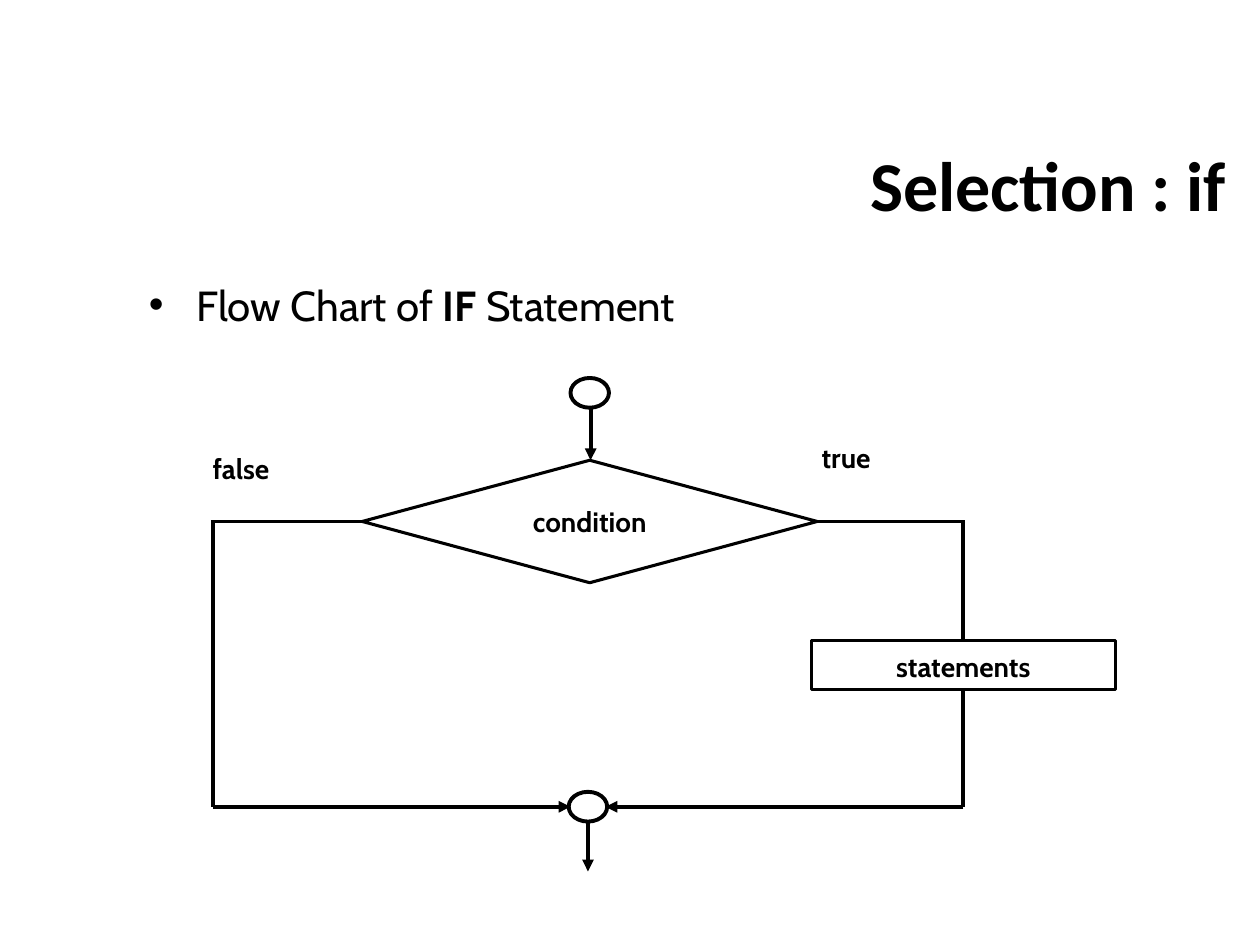
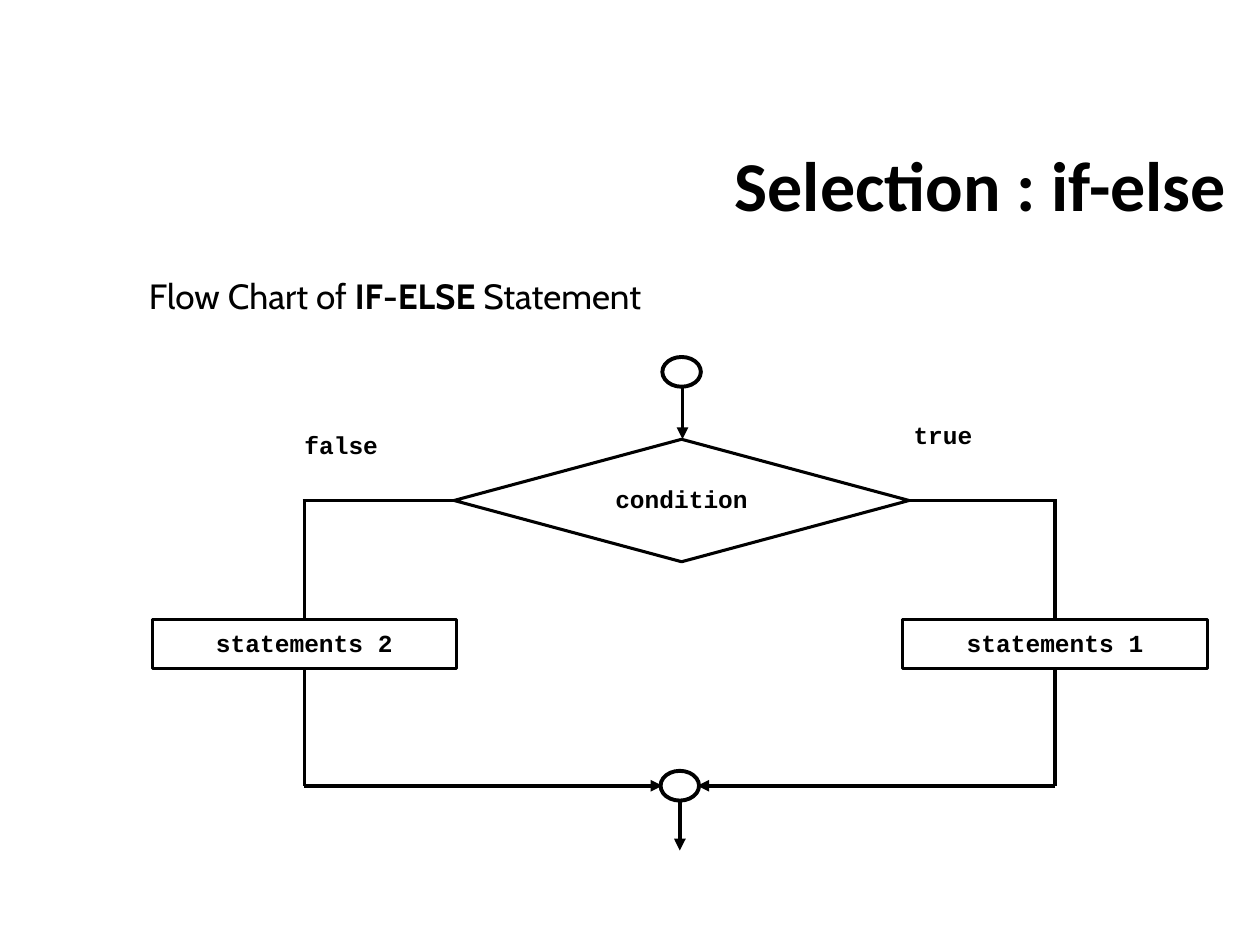
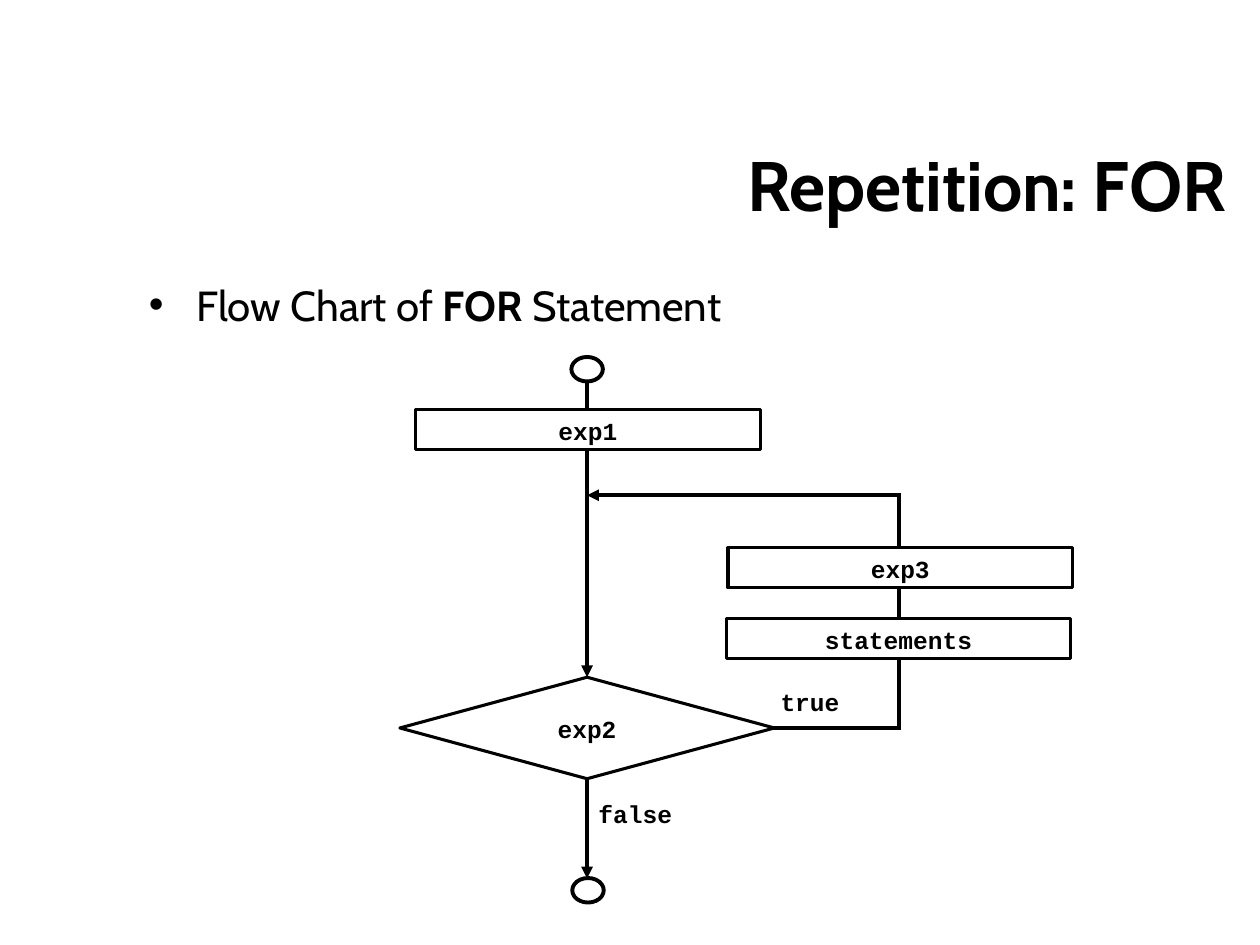
from dataclasses import dataclass

from lxml.etree import SubElement
from pptx import Presentation
from pptx.dml.color import RGBColor
from pptx.enum.shapes import MSO_CONNECTOR, MSO_SHAPE as SHAPE
from pptx.enum.text import MSO_ANCHOR as ANCHOR, MSO_AUTO_SIZE, PP_ALIGN as ALIGN
from pptx.oxml.ns import qn
from pptx.slide import Slide
from pptx.text.text import TextFrame
from pptx.util import Pt

BLACK = "000000"
WHITE = "FFFFFF"
CABIN = "Cabin"
CALIBRI = "Calibri"
COURIER = "Courier New"
FLOW_WIDTH = 2.25
NODE_WIDTH = 1.75


@dataclass
class Node:
    """Flow chart shape placed by its centre."""

    kind: SHAPE
    x: float
    y: float
    w: float
    h: float
    text: str = ""
    inset: float = 0


@dataclass
class Flow:
    """Straight line between two points, pointing at the second if it is an arrow."""

    x1: float
    y1: float
    x2: float
    y2: float
    arrow: bool = False


@dataclass
class Label:
    """Free text placed by its top left corner."""

    text: str
    x: float
    y: float
    w: float
    h: float


@dataclass
class Heading:
    """Title and first line of a slide, with the keyword of the line in bold."""

    title: str
    title_font: str
    keyword: str
    size: float
    bullet: bool = True
    spacing: float = 1.0


@dataclass
class Chart:
    """All parts of one flow chart with its font and origin."""

    flows: list[Flow]
    nodes: list[Node]
    labels: list[Label]
    font: str
    size: float
    x: float = 0
    y: float = 0


def rgb(color: str) -> RGBColor:
    """Turn a hex string into a colour."""
    return RGBColor.from_string(color)


def write(tf: TextFrame, text: str, *, font: str, size: float, bold: bool = False,
          align: ALIGN = ALIGN.LEFT, color: str = BLACK) -> None:
    """Append a formatted run to the first paragraph."""
    p = tf.paragraphs[0]
    p.alignment = align
    r = p.add_run()
    r.text = text
    r.font.name = font
    r.font.size = Pt(size)
    r.font.bold = bold
    r.font.color.rgb = rgb(color)


def set_margins(tf: TextFrame, top: float = 0) -> None:
    """Wrap text from the top with no margin but the given one."""
    tf.word_wrap = True
    tf.vertical_anchor = ANCHOR.TOP
    tf.margin_left = tf.margin_right = tf.margin_bottom = Pt(0)
    tf.margin_top = Pt(top)


def add_heading(s: Slide, heading: Heading) -> None:
    """Fill the title and add the introductory line."""
    title = s.shapes.title
    title.left, title.top, title.width, title.height = Pt(264), Pt(60), Pt(444), Pt(90)
    tf = title.text_frame
    tf.auto_size = MSO_AUTO_SIZE.NONE
    tf.vertical_anchor = ANCHOR.MIDDLE
    write(tf, heading.title, font=heading.title_font, size=40, bold=True, align=ALIGN.RIGHT)

    tf = s.shapes.add_textbox(Pt(78), Pt(156), Pt(630), Pt(336)).text_frame
    tf.word_wrap = True
    for text, bold in (("Flow Chart of ", False), (heading.keyword, True), (" Statement", False)):
        write(tf, text, font=CABIN, size=heading.size, bold=bold)
    p = tf.paragraphs[0]
    p.line_spacing = heading.spacing
    p.space_before = Pt(0.2 * heading.size)
    pPr = p._p.get_or_add_pPr()
    pPr.set("marL", str(Pt(27)))
    pPr.set("indent", str(Pt(-27)))
    if heading.bullet:
        SubElement(pPr, qn("a:buFont"), typeface="Arial")
        SubElement(pPr, qn("a:buChar"), char="•")
    else:
        SubElement(pPr, qn("a:buNone"))


def add_flow(s: Slide, flow: Flow, dx: float, dy: float) -> None:
    """Draw a flow line."""
    line = s.shapes.add_connector(MSO_CONNECTOR.STRAIGHT, Pt(flow.x1 + dx), Pt(flow.y1 + dy),
                                  Pt(flow.x2 + dx), Pt(flow.y2 + dy))
    line.line.color.rgb = rgb(BLACK)
    line.line.width = Pt(FLOW_WIDTH)
    if flow.arrow:
        SubElement(line.line._get_or_add_ln(), qn("a:tailEnd"), type="triangle")
    SubElement(line._element.spPr, qn("a:effectLst"))


def add_node(s: Slide, node: Node, chart: Chart) -> None:
    """Draw a node: terminals are open, the others white with text."""
    sp = s.shapes.add_shape(node.kind, Pt(chart.x + node.x - node.w / 2),
                            Pt(chart.y + node.y - node.h / 2), Pt(node.w), Pt(node.h))
    sp.shadow.inherit = False
    sp.line.color.rgb = rgb(BLACK)
    if not node.text:
        sp.fill.background()
        sp.line.width = Pt(FLOW_WIDTH)
        return
    sp.fill.solid()
    sp.fill.fore_color.rgb = rgb(WHITE)
    sp.line.width = Pt(NODE_WIDTH)
    set_margins(sp.text_frame, node.inset)
    write(sp.text_frame, node.text, font=chart.font, size=chart.size, bold=True,
          align=ALIGN.CENTER)


def add_chart_parts(s: Slide, chart: Chart) -> None:
    """Draw lines, then nodes, then labels."""
    for flow in chart.flows:
        add_flow(s, flow, chart.x, chart.y)
    for node in chart.nodes:
        add_node(s, node, chart)
    for label in chart.labels:
        tf = s.shapes.add_textbox(Pt(label.x + chart.x), Pt(label.y + chart.y),
                                  Pt(label.w), Pt(label.h)).text_frame
        set_margins(tf)
        write(tf, label.text, font=chart.font, size=chart.size, bold=True)


def terminal(x: float, y: float, w: float, h: float) -> Node:
    """Return a start, join or end circle."""
    return Node(SHAPE.OVAL, x, y, w, h)


def branch_chart(x: float, y: float, font: str, size: float, true_text: str,
                 false_text: str = "") -> Chart:
    """Return a two-way branch around the centre of its condition."""
    left, right, join = -215.5, 213.5, 163
    flows = [
        Flow(0.5, -65, 0.5, -35, True),
        Flow(-1, 171, -1, 200, True),
        Flow(right + 1, 0, 129, 0),
        Flow(left - 1, 0, -130, 0),
        Flow(right, join, 9, join, True),
        Flow(left, join, -11, join, True),
    ]
    flows += [Flow(side, 0, side, join) for side in (left, right)]
    nodes = [
        terminal(0, -73.5, 22, 17),
        terminal(-1, join, 22, 17),
        Node(SHAPE.DIAMOND, 0, 0, 260, 70, "condition", 8),
    ]
    nodes += [Node(SHAPE.RECTANGLE, side, 82, 174, 28, text, 5)
              for side, text in ((right, true_text), (left, false_text)) if text]
    labels = [Label("true", 132.5, -46, 76, 34), Label("false", left, -40, 94, 34)]
    return Chart(flows, nodes, labels, font, size, x, y)


def loop_chart() -> Chart:
    """Return the chart of a counted loop."""
    axis, side, back, test = 335.5, 513.5, 283, 416
    flows = [
        Flow(axis, 218, axis, 387, True),
        Flow(axis, 446, axis, 502, True),
        Flow(side, test, 442, test),
        Flow(side, test + 1, side, back - 1),
        Flow(side, back, axis, back, True),
    ]
    nodes = [terminal(axis, 211, 18, 14), terminal(axis + 0.5, 508.75, 18, 14),
             Node(SHAPE.DIAMOND, axis, test, 214, 58, "exp2", 6.5)]
    nodes += [Node(SHAPE.RECTANGLE, x, y, 197, 23, text, 3.6)
              for text, x, y in (("exp1", axis + 0.5, 245.5), ("exp3", side + 1, 324.5),
                                 ("statements", side, 365))]
    labels = [Label("true", 446, 392.5, 63, 28), Label("false", 342, 456.5, 77, 28)]
    return Chart(flows, nodes, labels, COURIER, 14)


def main() -> None:
    """Build the three slides."""
    prs = Presentation()
    prs.slide_width, prs.slide_height = Pt(720), Pt(540)
    slides = [
        (Heading("Selection : if", CALIBRI, "IF", 24),
         branch_chart(337, 298, CABIN, 16, "statements")),
        (Heading("Selection : if-else", CALIBRI, "IF-ELSE", 20, bullet=False, spacing=0.9),
         branch_chart(389.5, 286, COURIER, 14, "statements 1", "statements 2")),
        (Heading("Repetition: FOR", CABIN, "FOR", 24), loop_chart()),
    ]
    for heading, chart in slides:
        s = prs.slides.add_slide(prs.slide_layouts[5])
        add_heading(s, heading)
        add_chart_parts(s, chart)
    prs.save("out.pptx")


if __name__ == "__main__":
    main()
